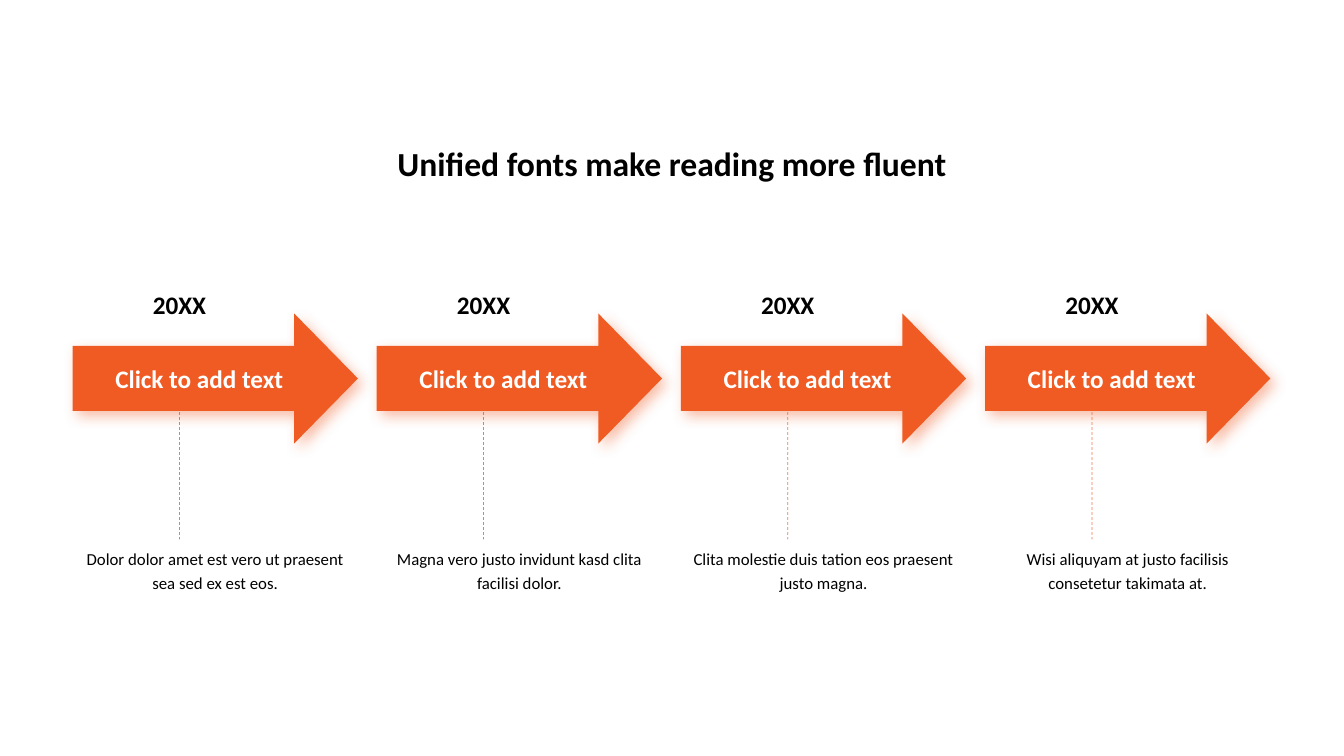
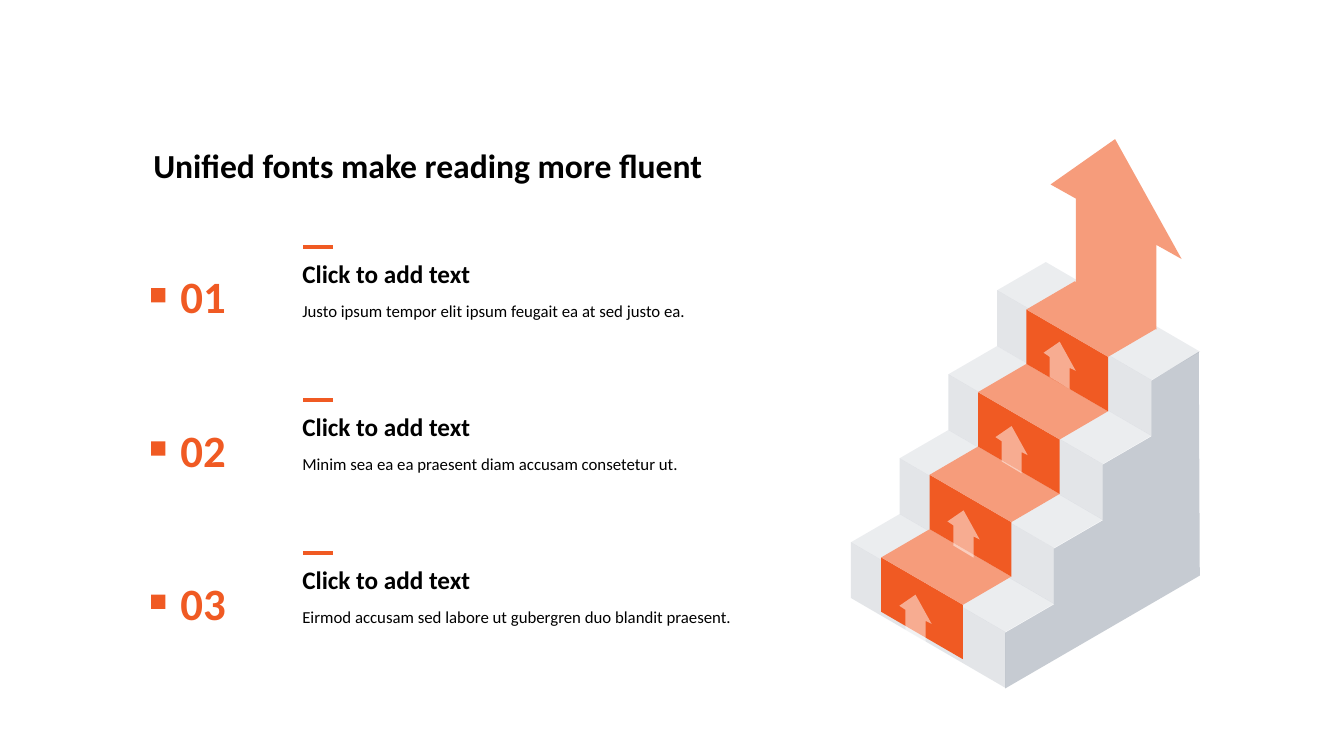
from dataclasses import dataclass

from lxml import etree
from pptx import Presentation
from pptx.dml.color import RGBColor
from pptx.enum.dml import MSO_LINE
from pptx.enum.shapes import MSO_CONNECTOR, MSO_SHAPE
from pptx.enum.text import MSO_ANCHOR, MSO_AUTO_SIZE, PP_ALIGN
from pptx.oxml.ns import qn
from pptx.util import Inches, Pt

LEFT, CENTER = PP_ALIGN.LEFT, PP_ALIGN.CENTER
TOP, MIDDLE, BOTTOM = MSO_ANCHOR.TOP, MSO_ANCHOR.MIDDLE, MSO_ANCHOR.BOTTOM
STRAIGHT, DASH = MSO_CONNECTOR.STRAIGHT, MSO_LINE.DASH
RIGHT_ARROW, RECTANGLE = MSO_SHAPE.RIGHT_ARROW, MSO_SHAPE.RECTANGLE
NO_AUTOFIT = MSO_AUTO_SIZE.NONE


@dataclass(frozen=True)
class Theme:
    font: str = "Calibri"
    ink: RGBColor = RGBColor(0x00, 0x00, 0x00)
    white: RGBColor = RGBColor(0xFF, 0xFF, 0xFF)
    accent: RGBColor = RGBColor(0xF0, 0x5A, 0x23)
    accent_light: RGBColor = RGBColor(0xF6, 0x9C, 0x7B)
    stone: RGBColor = RGBColor(0x44, 0x54, 0x6A)
    title: int = 24
    number: int = 32
    heading: int = 18
    body: int = 12
    body_spacing: float = 1.2


THEME = Theme()
HEADLINE = "Unified fonts make reading more fluent"
PROMPT = "Click to add text"


def write(shape, text, size, color=THEME.ink, bold=True, align=LEFT, anchor=TOP, spacing=1.0):
    """Fill a shape, text box or placeholder with one styled paragraph."""
    frame = shape.text_frame
    frame.word_wrap = True
    frame.auto_size = NO_AUTOFIT
    frame.vertical_anchor = anchor
    paragraph = frame.paragraphs[0]
    paragraph.alignment = align
    paragraph.line_spacing = spacing
    run = paragraph.add_run()
    run.text = text
    run.font.name, run.font.size, run.font.bold = THEME.font, Pt(size), bold
    run.font.color.rgb = color


def polygon(slide, points, color, opacity=100):
    """Draw a closed, borderless outline through points given in inches."""
    corners = [(Inches(x), Inches(y)) for x, y in points]
    builder = slide.shapes.build_freeform(*corners[0])
    builder.add_line_segments(corners[1:], close=True)
    face = builder.convert_to_shape()
    face.shadow.inherit = False
    face.line.fill.background()
    face.fill.solid()
    face.fill.fore_color.rgb = color
    if opacity < 100:
        tint = next(face._element.spPr.iter(qn("a:srgbClr")))
        etree.SubElement(tint, qn("a:alpha"), val=str(opacity * 1000))


prs = Presentation()
prs.slide_width, prs.slide_height = Inches(13.33), Inches(7.5)
title_only = prs.slide_layouts[5]

# Both slides and their titles
slides = []
for left, top, width, align in ((1.86, 1.24, 9.61, CENTER), (1.42, 1.26, 7.7, LEFT)):
    slide = prs.slides.add_slide(title_only)
    title = slide.shapes.title
    title.left, title.top = Inches(left), Inches(top)
    title.width, title.height = Inches(width), Inches(0.63)
    write(title, HEADLINE, THEME.title, align=align, anchor=BOTTOM)
    slides.append(slide)
timeline, stairs = slides

# Timeline: four dated arrows with descriptions
MILESTONES = (
    "Dolor dolor amet est vero ut praesent sea sed ex est eos.",
    "Magna vero justo invidunt kasd clita facilisi dolor.",
    "Clita molestie duis tation eos praesent justo magna.",
    "Wisi aliquyam at justo facilisis consetetur takimata at.",
)
FIRST_LEFT, LAST_LEFT, ARROW_WIDTH = 0.72, 9.77, 2.83
pitch = (LAST_LEFT - FIRST_LEFT) / (len(MILESTONES) - 1)

for index, text in enumerate(MILESTONES):
    left = FIRST_LEFT + index * pitch
    description = timeline.shapes.add_textbox(
        Inches(left), Inches(5.35), Inches(ARROW_WIDTH), Inches(0.75))
    write(description, text, THEME.body, bold=False, align=CENTER,
          spacing=THEME.body_spacing)

    stem_x = Inches(left + 1.06)
    stem = timeline.shapes.add_connector(STRAIGHT, stem_x, Inches(3.94), stem_x, Inches(5.35))
    stem.line.color.rgb = THEME.accent
    stem.line.width = Pt(0.5)
    stem.line.dash_style = DASH
    stem_props = stem._element.spPr
    etree.SubElement(next(stem_props.iter(qn("a:srgbClr"))), qn("a:alpha"), val="80000")
    etree.SubElement(stem_props, qn("a:effectLst"))

    arrow = timeline.shapes.add_shape(
        RIGHT_ARROW, Inches(left), Inches(3.11), Inches(ARROW_WIDTH), Inches(1.29))
    arrow.adjustments[0], arrow.adjustments[1] = 0.5, 0.49
    arrow.fill.solid()
    arrow.fill.fore_color.rgb = THEME.accent
    arrow.line.fill.background()
    write(arrow, PROMPT, THEME.heading, THEME.white, align=CENTER, anchor=MIDDLE)

    # Soft glow of the accent colour, down and to the right
    arrow.shadow.inherit = False
    effects = arrow._element.spPr.find(qn("a:effectLst"))
    glow = etree.SubElement(
        effects, qn("a:outerShdw"), blurRad=str(Pt(10)), dist=str(Pt(5)),
        dir="2700000", algn="tl", rotWithShape="0")
    glow_color = etree.SubElement(glow, qn("a:srgbClr"), val=str(THEME.accent))
    etree.SubElement(glow_color, qn("a:alpha"), val="40000")

    year = timeline.shapes.add_textbox(
        Inches(left + 0.27), Inches(2.82), Inches(1.58), Inches(0.4))
    write(year, "20XX", THEME.heading, align=CENTER, anchor=MIDDLE)

# Staircase: stone steps, then the carpet on them
STEPS = 4
STONE_STEP = (1.45 / 3, 2.5 / 3)
# left, top, front width, front drop, step across, step up, riser and tread looks
FLIGHTS = (
    (8.44, 5.38, 1.53, 0.89, *STONE_STEP, (THEME.stone, 15), (THEME.stone, 10)),
    (8.74, 5.53, 0.81, 0.47, 0.48, 0.82, (THEME.accent, 100), (THEME.accent_light, 100)),
)
TREAD_RISE = 0.28
for left, top, width, drop, across, up, riser_look, tread_look in FLIGHTS:
    height = up - TREAD_RISE
    for step in range(STEPS):
        x, y = left + step * across, top - step * up
        edge = [(x, y), (x + width, y + drop)]
        polygon(stairs, edge + [(x + width, y + drop + height), (x, y + height)], *riser_look)
        polygon(stairs, edge + [(x + width + across, y + drop - TREAD_RISE),
                                (x + across, y - TREAD_RISE)], *tread_look)

# Shaded side wall follows the profile of the steps
across, up = STONE_STEP
wall = [(11.89, 3.49), (11.9, 5.71)]
for step in range(STEPS):
    x, y = 9.97 + step * across, 6.83 - step * up
    wall += [(x, y), (x, y - up + TREAD_RISE)]
polygon(stairs, wall, THEME.stone, 30)

# Small arrows on the risers and the large one on top
SMALL_ARROW = ((0.16, 0), (0, 0.11), (0.06, 0.15), (0.06, 0.35),
               (0.26, 0.47), (0.26, 0.26), (0.32, 0.29))
for step in range(STEPS):
    x, y = 8.92 + step * 1.43 / 3, 5.9 - step * 2.51 / 3
    polygon(stairs, [(x + dx, y + dy) for dx, dy in SMALL_ARROW], THEME.white, 50)
LARGE_ARROW = ((11.06, 1.38), (10.42, 1.83), (10.67, 1.97), (10.67, 2.81),
               (11.47, 3.27), (11.47, 2.43), (11.72, 2.57))
polygon(stairs, LARGE_ARROW, THEME.accent_light)

# Numbered points beside the staircase
POINTS = (
    "Justo ipsum tempor elit ipsum feugait ea at sed justo ea.",
    "Minim sea ea ea praesent diam accusam consetetur ut.",
    "Eirmod accusam sed labore ut gubergren duo blandit praesent.",
)
for index, text in enumerate(POINTS):
    top = 2.45 + index * 1.52
    marker = stairs.shapes.add_shape(
        RECTANGLE, Inches(1.5), Inches(top + 0.41), Inches(0.14), Inches(0.14))
    marker.shadow.inherit = False
    marker.fill.solid()
    marker.fill.fore_color.rgb = THEME.accent
    marker.line.fill.background()

    number = stairs.shapes.add_textbox(
        Inches(1.69), Inches(top + 0.17), Inches(1.11), Inches(0.92))
    write(number, f"{index + 1:02d}", THEME.number, THEME.accent)
    detail = stairs.shapes.add_textbox(
        Inches(2.9), Inches(top + 0.44), Inches(4.6), Inches(0.6))
    write(detail, text, THEME.body, bold=False, spacing=THEME.body_spacing)
    heading = stairs.shapes.add_textbox(
        Inches(2.9), Inches(top + 0.06), Inches(4.6), Inches(0.4))
    write(heading, PROMPT, THEME.heading, anchor=BOTTOM)

    rule = stairs.shapes.add_connector(
        STRAIGHT, Inches(3.01), Inches(top), Inches(3.3), Inches(top))
    rule.line.color.rgb = THEME.accent
    rule.line.width = Pt(3)
    etree.SubElement(rule._element.spPr, qn("a:effectLst"))

prs.save("out.pptx")
